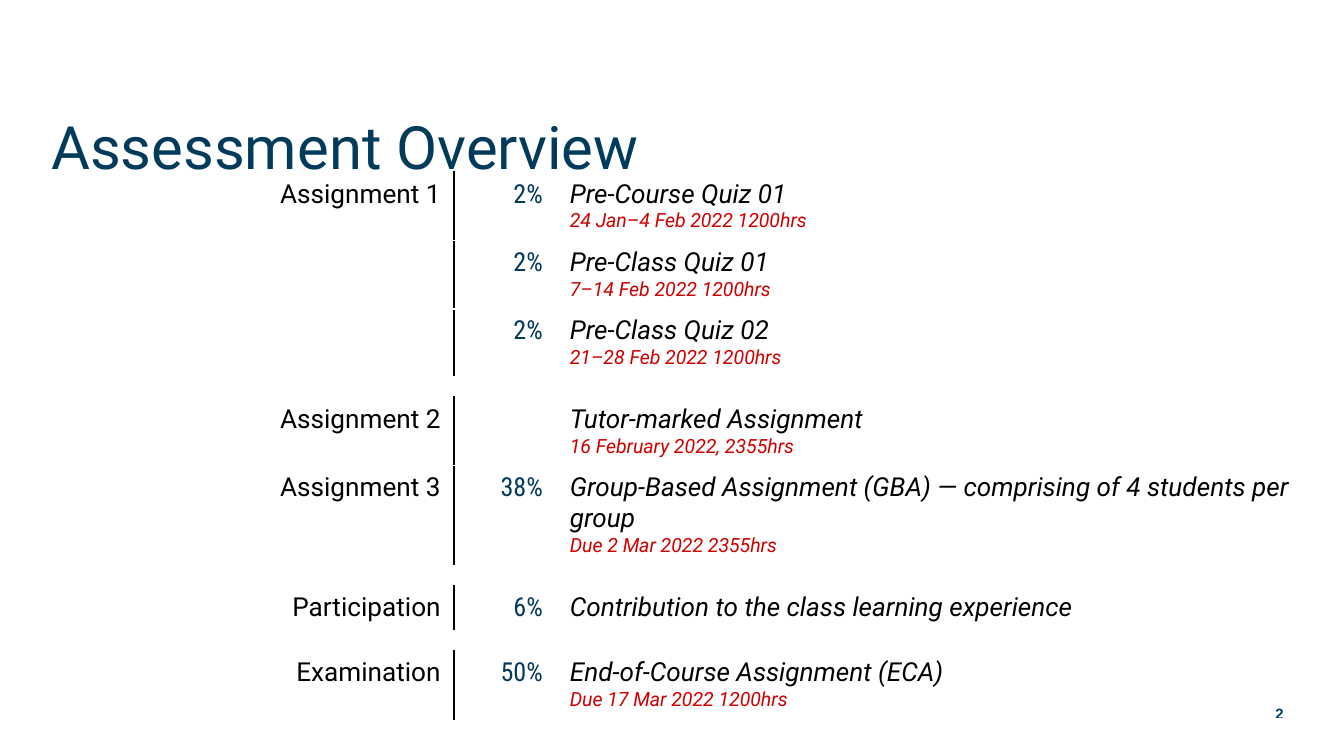
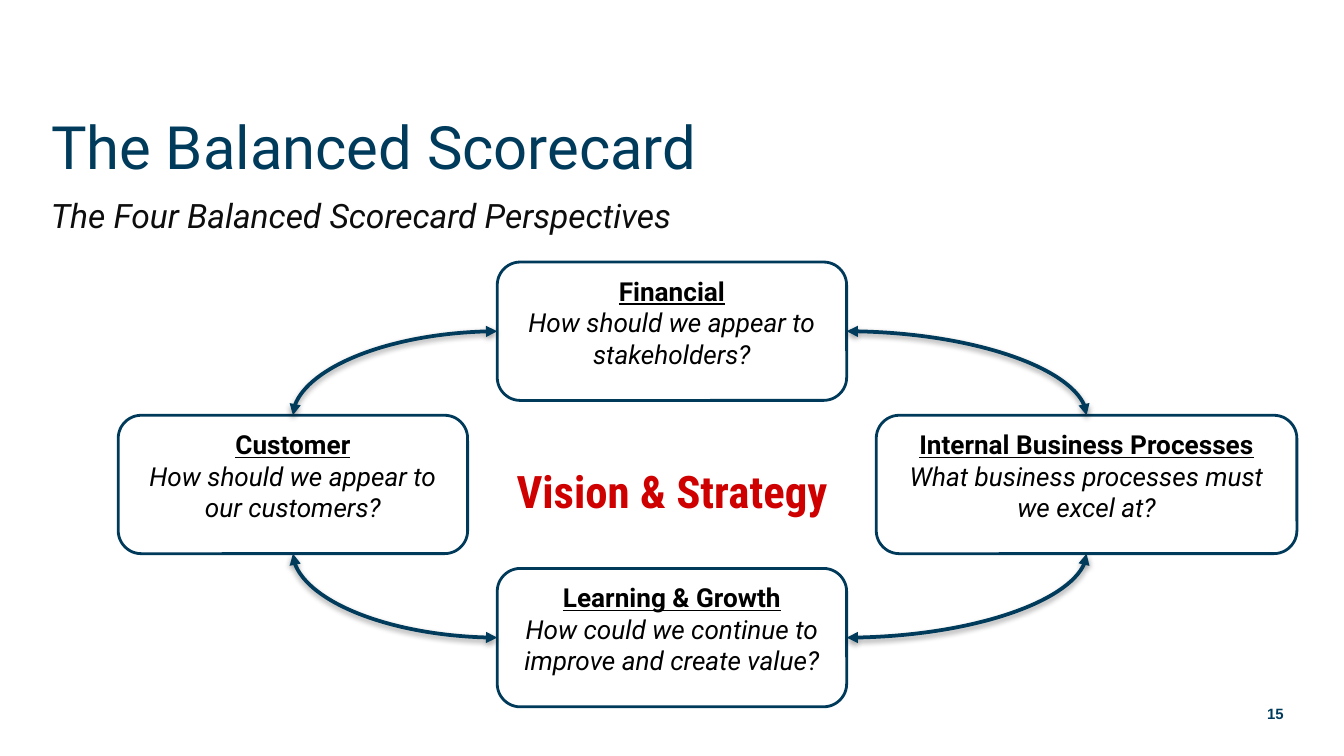
from lxml import etree
from pptx import Presentation
from pptx.dml.color import RGBColor
from pptx.enum.shapes import MSO_CONNECTOR, MSO_SHAPE
from pptx.enum.text import MSO_ANCHOR, MSO_AUTO_SIZE, PP_ALIGN
from pptx.oxml import parse_xml
from pptx.oxml.ns import nsdecls, qn
from pptx.util import Inches, Pt

COLORS = {
    "navy": "003B5C",
    "percent": "01385B",
    "outline": "003A5A",
    "red": "CE0000",
    "subtitle": "0D0D0D",
    "black": "000000",
}


def write(paragraph, text, size, color, face="Roboto", align=PP_ALIGN.LEFT,
          bold=False, italic=False, underline=False):
    paragraph.text = text
    paragraph.alignment = align
    font = paragraph.font
    font.name, font.size = face, Pt(size)
    font.bold, font.italic, font.underline = bold, italic, underline
    font.color.rgb = RGBColor.from_string(COLORS[color])


def add_text(slide, box, text, size, color, wrap=True, anchor=MSO_ANCHOR.TOP, **style):
    frame = slide.shapes.add_textbox(*map(Inches, box)).text_frame
    frame.word_wrap = wrap
    frame.vertical_anchor = anchor
    write(frame.paragraphs[0], text, size, color, **style)


prs = Presentation()
prs.slide_width, prs.slide_height = Inches(10), Inches(5.625)

slides = []
for heading, number in [("Assessment Overview", "2"), ("The Balanced Scorecard", "15")]:
    slide = prs.slides.add_slide(prs.slide_layouts[5])
    title = slide.shapes.title
    title.left, title.top, title.width, title.height = map(Inches, (0.28, 0.5, 9.37, 0.9))
    title.text_frame.vertical_anchor = MSO_ANCHOR.BOTTOM
    title.text_frame.auto_size = MSO_AUTO_SIZE.NONE
    write(title.text_frame.paragraphs[0], heading, 32, "navy")
    add_text(slide, (7.5, 5.16, 2.15, 0.3), number, 8, "navy", anchor=MSO_ANCHOR.MIDDLE,
             face="Arial", align=PP_ALIGN.RIGHT, bold=True)
    slides.append(slide)
overview, scorecard = slides

GAP = None
assessments = [
    ("Assignment 1", "2%", "Pre-Course Quiz 01", "24 Jan–4 Feb 2022 1200hrs", 0.5),
    ("", "2%", "Pre-Class Quiz 01", "7–14 Feb 2022 1200hrs", 0.5),
    ("", "2%", "Pre-Class Quiz 02", "21–28 Feb 2022 1200hrs", 0.5),
    GAP,
    ("Assignment 2", "", "Tutor-marked Assignment", "16 February 2022, 2355hrs", 0.5),
    ("Assignment 3", "38%",
     "Group-Based Assignment (GBA) — comprising of 4 students per group",
     "Due 2 Mar 2022 2355hrs", 0.73),
    GAP,
    ("Participation", "6%", "Contribution to the class learning experience", "", 0.33),
    GAP,
    ("Examination", "50%", "End-of-Course Assignment (ECA)", "Due 17 Mar 2022 1200hrs", 0.5),
]
schedule = overview.shapes.add_table(
    len(assessments), 3, Inches(1.04), Inches(1.28), Inches(8.68), Inches(4.01)).table
schedule.first_row = schedule.horz_banding = False
for column, width in zip(schedule.columns, (2.34, 0.76, 5.58)):
    column.width = Inches(width)

for row, assessment in zip(schedule.rows, assessments):
    for cell in row.cells:
        cell.fill.background()
    if assessment is GAP:
        row.height = Inches(0.15)
        for cell in row.cells:
            cell.margin_top = cell.margin_bottom = 0
            blank = cell.text_frame.paragraphs[0]._p
            etree.SubElement(blank, qn("a:endParaRPr")).set("sz", "400")
        continue
    label, percent, task, due, height = assessment
    row.height = Inches(height)
    label_cell, percent_cell, task_cell = row.cells
    for cell, side in [(label_cell, "lnR"), (percent_cell, "lnL")]:
        cell._tc.get_or_add_tcPr().insert(0, parse_xml(
            f'<a:{side} {nsdecls("a")} w="12700"><a:solidFill>'
            f'<a:srgbClr val="{COLORS["black"]}"/></a:solidFill></a:{side}>'))
    if label:
        write(label_cell.text_frame.paragraphs[0], label, 14, "black", align=PP_ALIGN.RIGHT)
    if percent:
        write(percent_cell.text_frame.paragraphs[0], percent, 14, "percent",
              face="Roboto Condensed", align=PP_ALIGN.RIGHT)
    write(task_cell.text_frame.paragraphs[0], task, 14, "black", italic=True)
    if due:
        write(task_cell.text_frame.add_paragraph(), due, 10.5, "red", italic=True)
schedule.cell(0, 0).merge(schedule.cell(2, 0))

add_text(scorecard, (0.28, 1.4, 9.37, 0.45), "The Four Balanced Scorecard Perspectives",
         18, "subtitle", italic=True)

BOX_HEIGHT = 1.03
perspectives = [
    ("Financial", "How should we appear to stakeholders?", 3.7, 1.95, 2.6),
    ("Learning & Growth", "How could we continue to improve and create value?", 3.7, 4.23, 2.6),
    ("Internal Business Processes", "What business processes must we excel at?", 6.52, 3.09, 3.13),
    ("Customer", "How should we appear to our customers?", 0.88, 3.09, 2.6),
]
boxes = []
for perspective, question, left, top, width in perspectives:
    box = scorecard.shapes.add_shape(
        MSO_SHAPE.ROUNDED_RECTANGLE, *map(Inches, (left, top, width, BOX_HEIGHT)))
    box.shadow.inherit = False
    box.fill.background()
    box.line.color.rgb = RGBColor.from_string(COLORS["outline"])
    box.line.width = Pt(1.5)
    frame = box.text_frame
    frame.word_wrap = True
    frame.vertical_anchor = MSO_ANCHOR.TOP
    write(frame.paragraphs[0], perspective, 14, "black", align=PP_ALIGN.CENTER,
          bold=True, underline=True)
    write(frame.add_paragraph(), question, 14, "black", align=PP_ALIGN.CENTER, italic=True)
    boxes.append(box)

add_text(scorecard, (3.73, 3.4, 2.54, 0.5), "Vision & Strategy", 24, "red", wrap=False,
         face="Roboto Condensed", align=PP_ALIGN.CENTER, bold=True)

financial, learning, processes, customer = boxes
for middle in (financial, learning):
    for outer in (processes, customer):
        start_x = middle.left + (middle.width if outer is processes else 0)
        end_y = outer.top + (outer.height if middle is learning else 0)
        arc = scorecard.shapes.add_connector(
            MSO_CONNECTOR.CURVE, start_x, middle.top + middle.height // 2,
            outer.left + outer.width // 2, end_y)
        arc.line.color.rgb = RGBColor.from_string(COLORS["navy"])
        arc.line.width = Pt(2)
        properties = arc._element.spPr
        properties.find(qn("a:prstGeom")).set("prst", "curvedConnector2")
        for tip in ("a:headEnd", "a:tailEnd"):
            etree.SubElement(properties.find(qn("a:ln")), qn(tip)).set("type", "triangle")
        properties.append(parse_xml(
            f'<a:effectLst {nsdecls("a")}><a:outerShdw blurRad="40000" dist="20000" '
            f'dir="5400000" rotWithShape="0"><a:srgbClr val="{COLORS["black"]}">'
            '<a:alpha val="38000"/></a:srgbClr></a:outerShdw></a:effectLst>'))

prs.save("out.pptx")
